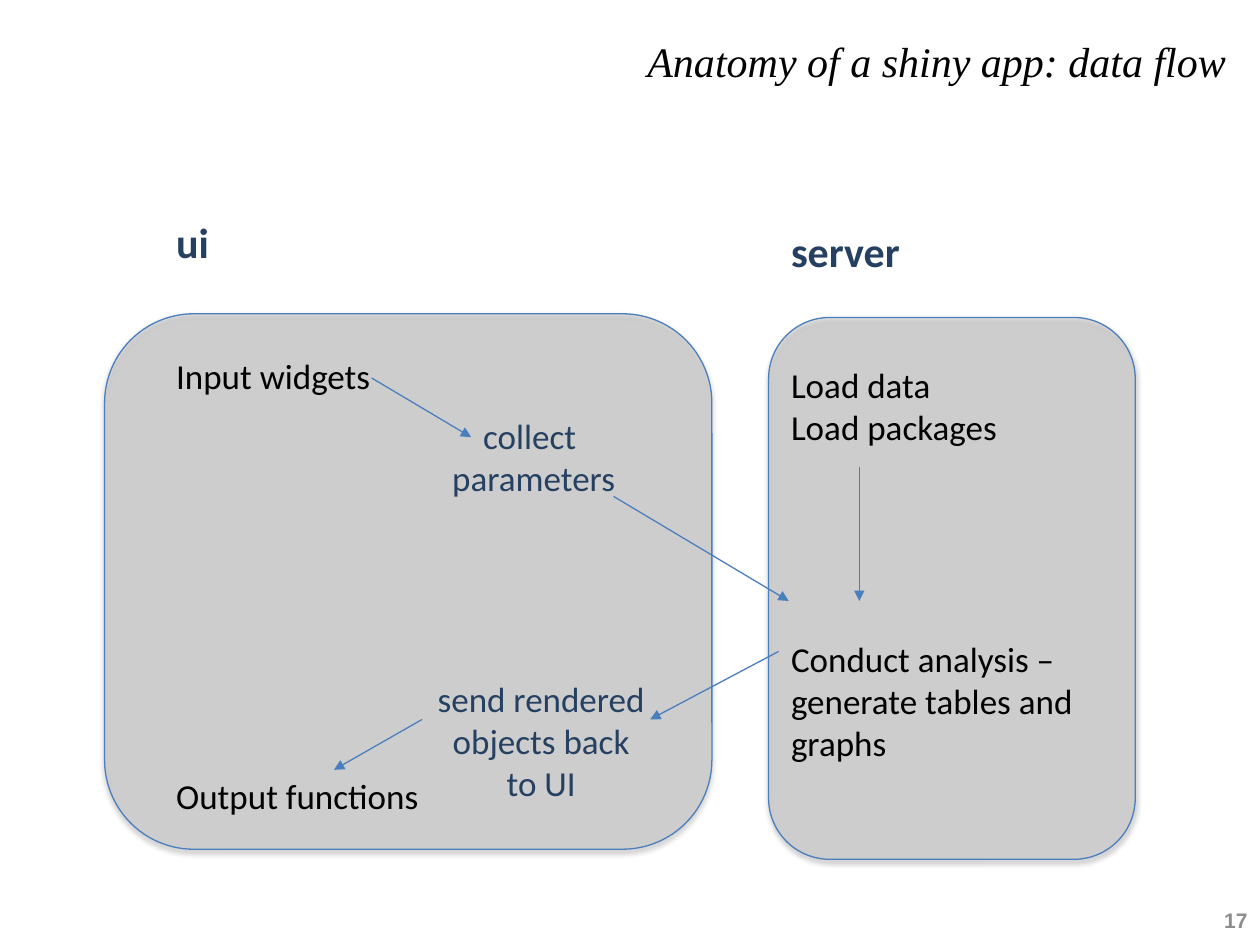
from lxml.etree import SubElement
from pptx import Presentation
from pptx.dml.color import RGBColor
from pptx.enum.shapes import MSO_CONNECTOR, MSO_SHAPE
from pptx.enum.text import MSO_ANCHOR, PP_ALIGN
from pptx.oxml.ns import qn
from pptx.util import Inches, Pt

COLORS = {
    "panel": "BFBFBF",
    "line": "4B7EBC",
    "navy": "254061",
    "black": "000000",
    "gray": "8C8C8C",
}


def color(name):
    return RGBColor.from_string(COLORS[name])


class DataFlowSlide:
    """Holds the slide and the shared style of its elements."""

    font = "Calibri"
    line_width = Pt(0.75)

    def __init__(self, presentation):
        self.slide = presentation.slides.add_slide(presentation.slide_layouts[5])

    def format(self, paragraph, size, name="black", bold=False, italic=False,
               font=None, align=PP_ALIGN.LEFT):
        paragraph.alignment = align
        paragraph.font.name = font or self.font
        paragraph.font.size = Pt(size)
        paragraph.font.bold = bold
        paragraph.font.italic = italic
        paragraph.font.color.rgb = color(name)

    def title(self, text, left, top, width, height):
        shape = self.slide.shapes.title
        shape.left, shape.top = Inches(left), Inches(top)
        shape.width, shape.height = Inches(width), Inches(height)
        shape.text_frame.text = text
        shape.text_frame.vertical_anchor = MSO_ANCHOR.MIDDLE
        self.format(shape.text_frame.paragraphs[0], 24, italic=True,
                    font="Times New Roman", align=PP_ALIGN.RIGHT)

    def panel(self, left, top, width, height):
        """Add a translucent rounded panel with a soft shadow below it."""
        shape = self.slide.shapes.add_shape(
            MSO_SHAPE.ROUNDED_RECTANGLE,
            Inches(left), Inches(top), Inches(width), Inches(height))
        shape.fill.solid()
        shape.fill.fore_color.rgb = color("panel")
        shape.line.color.rgb = color("line")
        shape.line.width = self.line_width
        shape.shadow.inherit = False
        properties = shape.element.spPr
        fill = properties.find(qn("a:solidFill")).find(qn("a:srgbClr"))
        SubElement(fill, qn("a:alpha"), val="43000")
        shadow = SubElement(
            properties.find(qn("a:effectLst")), qn("a:outerShdw"),
            blurRad=str(Pt(3.1)), dist=str(Pt(1.8)), dir="5400000", rotWithShape="0")
        shade = SubElement(shadow, qn("a:srgbClr"), val=COLORS["black"])
        SubElement(shade, qn("a:alpha"), val="35000")

    def text(self, lines, left, top, width, height, **style):
        """Add a text box and return its text frame."""
        box = self.slide.shapes.add_textbox(
            Inches(left), Inches(top), Inches(width), Inches(height))
        frame = box.text_frame
        frame.word_wrap = True
        frame.text = "\n".join(lines)
        for paragraph in frame.paragraphs:
            self.format(paragraph, **style)
        return frame

    def column(self, heading, items, gaps, *place):
        """Add a heading and its items, with a gap in points before each item."""
        frame = self.text([heading, *items], *place, size=20)
        first, *rest = frame.paragraphs
        self.format(first, 24, "navy", bold=True)
        for paragraph, gap in zip(rest, gaps):
            paragraph.space_before = Pt(gap)

    def arrow(self, start, end):
        connector = self.slide.shapes.add_connector(
            MSO_CONNECTOR.STRAIGHT, *map(Inches, start + end))
        connector.line.color.rgb = color("line")
        connector.line.width = self.line_width
        properties = connector.element.spPr
        SubElement(properties.find(qn("a:ln")), qn("a:tailEnd"), type="triangle")
        SubElement(properties, qn("a:effectLst"))


def main():
    presentation = Presentation()
    presentation.slide_width, presentation.slide_height = Inches(10), Inches(7.5)
    flow = DataFlowSlide(presentation)

    flow.title("Anatomy of a shiny app: data flow", 0.25, 0.17, 9.58, 0.62)
    flow.panel(0.83, 2.49, 4.82, 4.25)
    flow.panel(6.1, 2.52, 2.91, 4.3)

    flow.column("ui", ["Input widgets", "Output functions"], [50, 216],
                1.3, 1.67, 2.5, 4.91)
    flow.column("server", ["Load data", "Load packages"], [50, 0],
                6.18, 1.74, 2.5, 3.1)

    step = {"size": 20, "name": "navy", "align": PP_ALIGN.CENTER}
    flow.text(["collect ", "parameters"], 3.29, 3.24, 1.89, 0.77, **step)
    flow.text(["send rendered\vobjects back to UI"], 3.35, 5.33, 1.89, 1.11, **step)
    analysis = flow.text(["Conduct analysis –\vgenerate tables and graphs"],
                         6.18, 4.67, 2.76, 1.45, size=20)
    analysis.margin_top = Inches(0.39)

    for start, end in [
        ((6.82, 3.71), (6.82, 4.77)),
        ((2.95, 3), (3.74, 3.47)),
        ((4.87, 3.94), (6.26, 4.77)),
        ((6.18, 5.17), (5.16, 5.71)),
        ((3.35, 5.71), (2.65, 6.11)),
    ]:
        flow.arrow(start, end)

    number = flow.text(["17"], 9.56, 7.1, 0.44, 0.4, size=12, name="gray",
                       bold=True, font="Arial", align=PP_ALIGN.RIGHT)
    number.vertical_anchor = MSO_ANCHOR.MIDDLE

    presentation.save("out.pptx")


if __name__ == "__main__":
    main()
